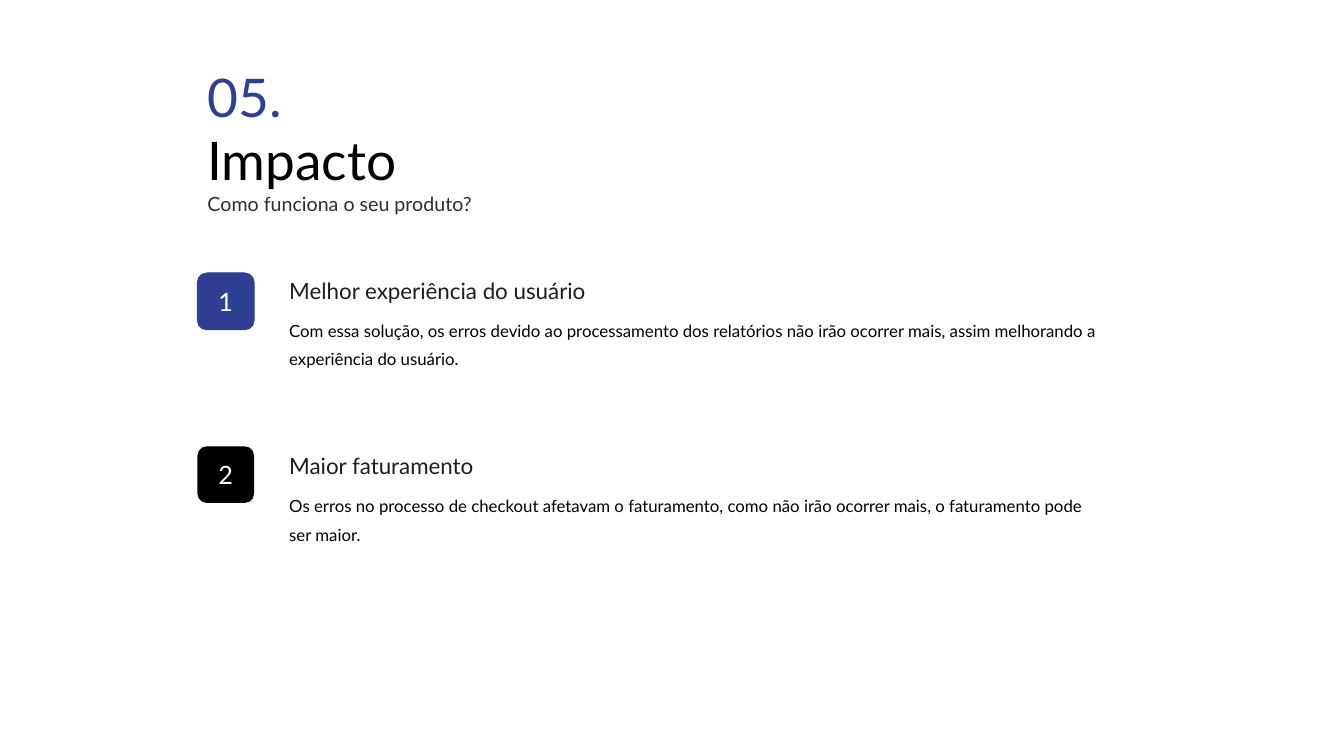
from pptx import Presentation
from pptx.dml.color import RGBColor
from pptx.enum.shapes import MSO_SHAPE
from pptx.enum.text import MSO_ANCHOR, MSO_AUTO_SIZE, PP_ALIGN
from pptx.util import Emu, Pt

PX = 9525
FONT = "Lato"
BLUE, BLACK, WHITE = "2F3F94", "000000", "FFFFFF"
HEADING, SUBTITLE = "1A1F20", "272F30"
BADGE_X, TEXT_X = 188, 266
BADGE_SIZE = 54
HEADING_H, BODY_H, BODY_OFFSET = 36, 64, 34

# badge top, text top, badge colour, (heading, width), (body, width)
IMPACTS = [
    (260, 259, BLUE, ("Melhor experiência do usuário", 343),
     ("Com essa solução, os erros devido ao processamento dos relatórios "
      "não irão ocorrer mais, assim melhorando a experiência do usuário.", 807)),
    (425, 426, BLACK, ("Maior faturamento", 303),
     ("Os erros no processo de checkout afetavam o faturamento, como não "
      "irão ocorrer mais, o faturamento pode ser maior.", 796)),
]


def px(*lengths):
    return [Emu(n * PX) for n in lengths]


def rgb(color):
    return RGBColor.from_string(color)


def write(p, text, size=12, color=BLACK, align=PP_ALIGN.LEFT, spacing=None):
    p.alignment = align
    if spacing:
        p.line_spacing = spacing
    r = p.add_run()
    r.text = text
    r.font.name = FONT
    r.font.size = Pt(size)
    r.font.color.rgb = rgb(color)


def add_title(s):
    sp = s.shapes.title
    sp.left, sp.top, sp.width, sp.height = px(188, 56, 318, 156)
    tf = sp.text_frame
    tf.word_wrap = True
    tf.auto_size = MSO_AUTO_SIZE.NONE
    tf.vertical_anchor = MSO_ANCHOR.TOP
    write(tf.paragraphs[0], "05.", size=38, color=BLUE)
    write(tf.add_paragraph(), "Impacto", size=38)
    write(tf.add_paragraph(), "Como funciona o seu produto?", size=14, color=SUBTITLE)


def add_badge(s, number, top, color):
    sp = s.shapes.add_shape(MSO_SHAPE.ROUNDED_RECTANGLE,
                            *px(BADGE_X, top, BADGE_SIZE, BADGE_SIZE))
    sp.shadow.inherit = False
    sp.fill.solid()
    sp.fill.fore_color.rgb = rgb(color)
    if color == BLUE:
        sp.line.color.rgb = rgb(color)
        sp.line.width = Pt(0.75)
    else:
        sp.line.fill.background()
    tf = sp.text_frame
    tf.vertical_anchor = MSO_ANCHOR.MIDDLE
    write(tf.paragraphs[0], str(number), size=18, color=WHITE, align=PP_ALIGN.CENTER)


def add_text(s, text, top, width, height, **fmt):
    tf = s.shapes.add_textbox(*px(TEXT_X, top, width, height)).text_frame
    tf.word_wrap = True
    write(tf.paragraphs[0], text, **fmt)


def main():
    prs = Presentation()
    prs.slide_width, prs.slide_height = px(1280, 720)
    s = prs.slides.add_slide(prs.slide_layouts[5])
    add_title(s)
    for number, impact in enumerate(IMPACTS, 1):
        badge_top, top, color, (heading, heading_w), (body, body_w) = impact
        add_badge(s, number, badge_top, color)
        add_text(s, heading, top, heading_w, HEADING_H, size=16, color=HEADING)
        add_text(s, body, top + BODY_OFFSET, body_w, BODY_H, spacing=1.4)
    prs.save("out.pptx")


if __name__ == "__main__":
    main()
